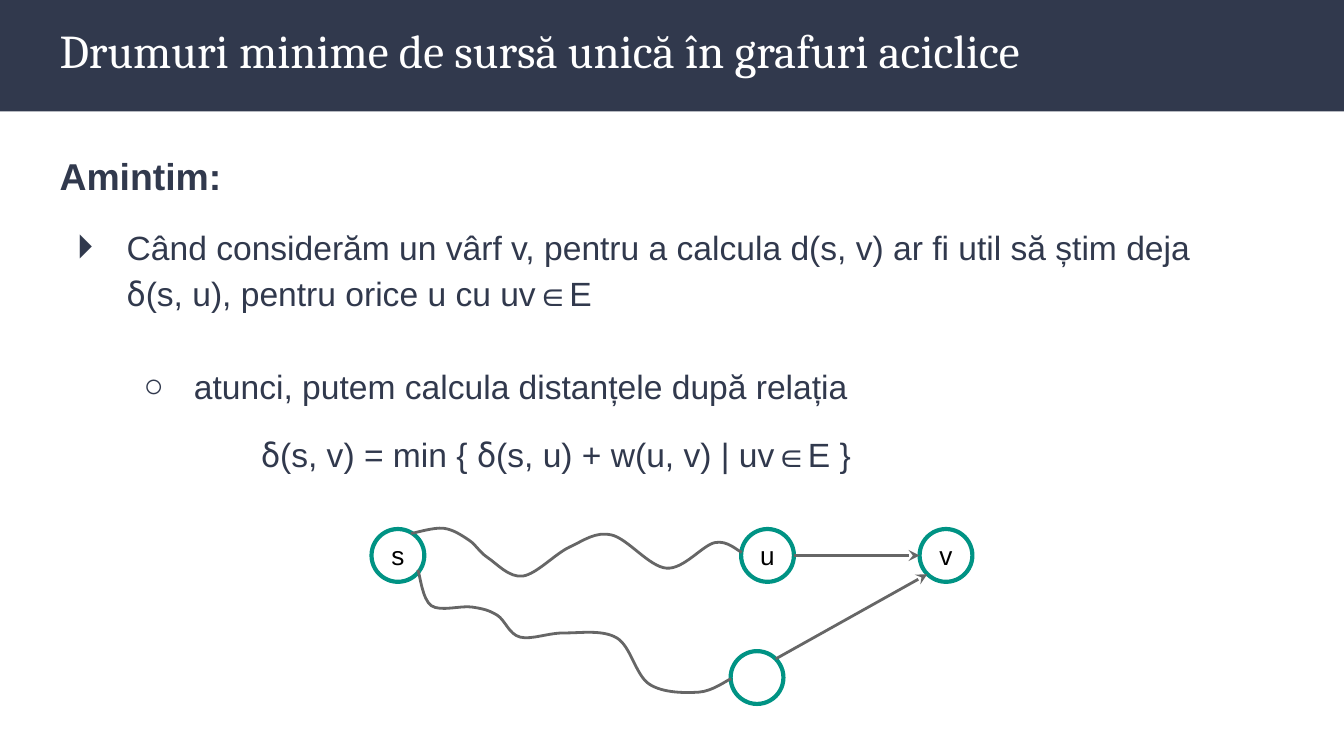
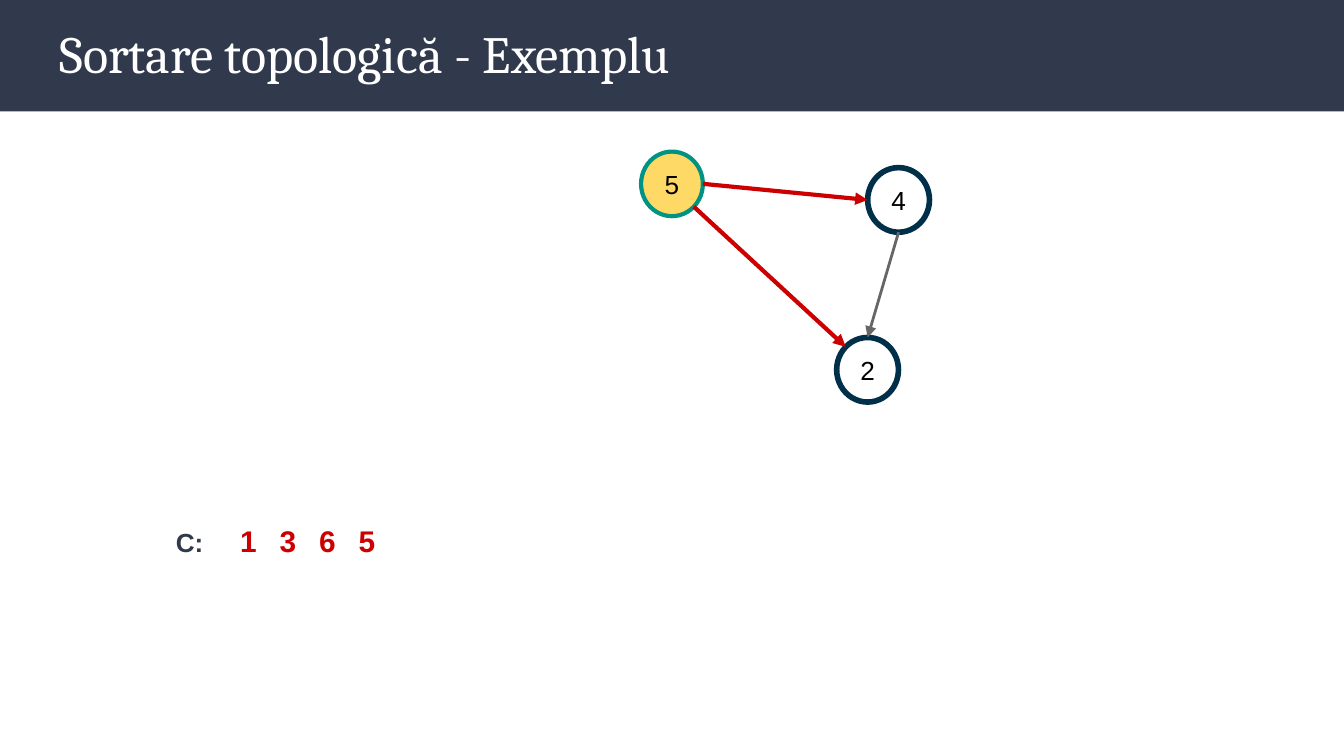
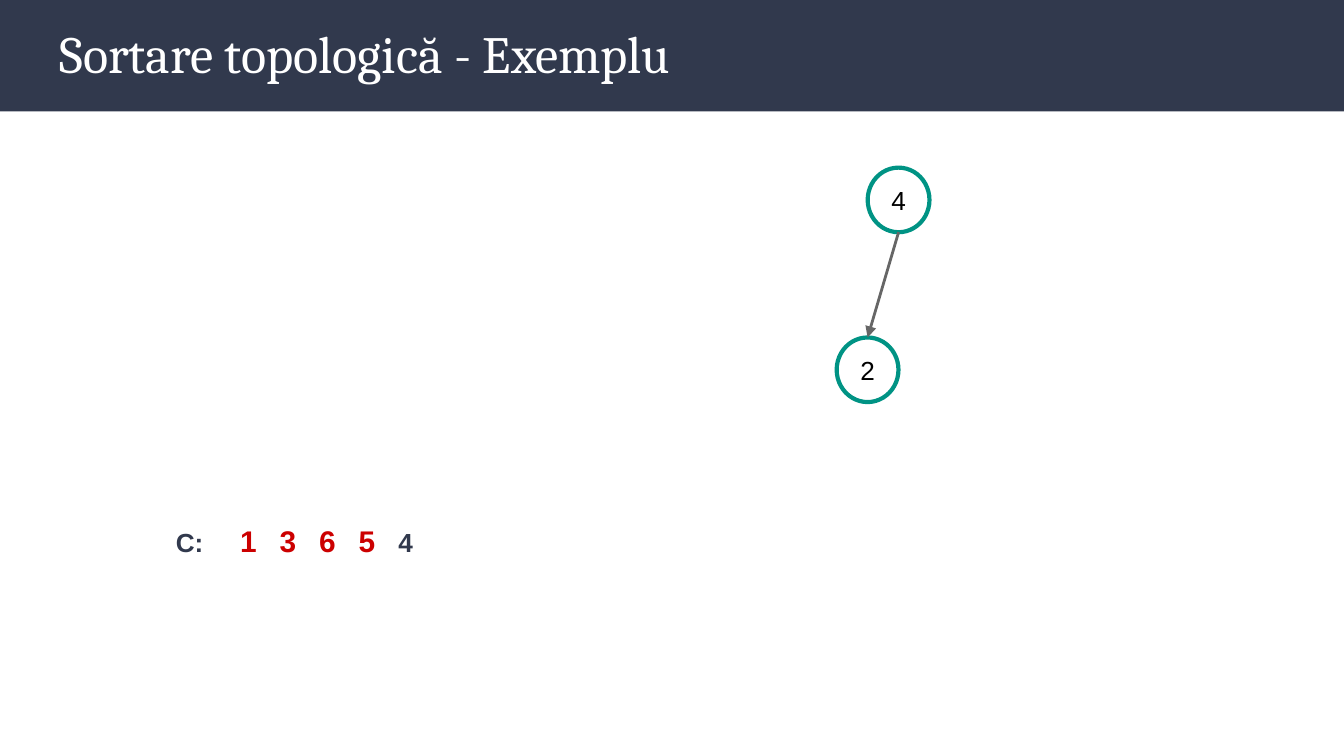
from dataclasses import dataclass

from lxml.etree import Element, SubElement
from pptx import Presentation
from pptx.dml.color import RGBColor as RGB
from pptx.enum.shapes import MSO_CONNECTOR, MSO_SHAPE
from pptx.enum.text import MSO_ANCHOR, PP_ALIGN
from pptx.oxml.ns import qn
from pptx.util import Pt


@dataclass(frozen=True)
class Theme:
    navy: RGB = RGB(0x31, 0x39, 0x4D)
    white: RGB = RGB(0xFF, 0xFF, 0xFF)
    black: RGB = RGB(0, 0, 0)
    teal: RGB = RGB(0x00, 0x93, 0x84)
    visited: RGB = RGB(0x00, 0x2F, 0x4A)
    current: RGB = RGB(0xFF, 0xD9, 0x66)
    red: RGB = RGB(0xCC, 0, 0)
    gray: RGB = RGB(0x66, 0x66, 0x66)
    heading_font: str = "Cambria"
    body_font: str = "Arial"
    greek_font: str = "Roboto"
    title_size: float = 28
    long_title_size: float = 25.2
    lead_size: float = 20
    body_size: float = 18
    done_size: float = 16
    label_size: float = 14


THEME = Theme()
SLIDE_W, SLIDE_H, BAND_H = 720, 405, 59.7
MARGIN, CONTENT_W = 24.8, 671
DIAGONAL = 0.5 ** 0.5
TOP, BOTTOM, LEFT, RIGHT = (0, -1), (0, 1), (-1, 0), (1, 0)
TOP_RIGHT, BOTTOM_LEFT = (DIAGONAL, -DIAGONAL), (-DIAGONAL, DIAGONAL)
TOP_LEFT, BOTTOM_RIGHT = (-DIAGONAL, -DIAGONAL), (DIAGONAL, DIAGONAL)


@dataclass(frozen=True)
class Vertex:
    label: str
    x: float
    y: float
    w: float = 33.1
    h: float = 34.6

    def site(self, direction):
        """Point of the outline that lies in the given direction."""
        return self.x + direction[0] * self.w / 2, self.y + direction[1] * self.h / 2


def add_run(para, text, size, color, font=THEME.body_font, bold=False):
    run = para.add_run()
    run.text = text
    run.font.size, run.font.name, run.font.bold = Pt(size), font, bold
    run.font.color.rgb = color


def add_math(para, text):
    """Add body text, with each δ in the Greek font."""
    for i, part in enumerate(text.split("δ")):
        if i:
            add_run(para, "δ", THEME.body_size, THEME.navy, THEME.greek_font)
        if part:
            add_run(para, part, THEME.body_size, THEME.navy)


def add_frame(slide, x, y, w, h):
    frame = slide.shapes.add_textbox(Pt(x), Pt(y), Pt(w), Pt(h)).text_frame
    frame.word_wrap = True
    set_insets(frame, 7.2)
    return frame


def set_insets(frame, inset):
    frame.margin_left = frame.margin_right = Pt(inset)
    frame.margin_top = frame.margin_bottom = Pt(inset)


def set_indent(para, left, first, bullet=None):
    props = para._p.get_or_add_pPr()
    props.set("marL", str(Pt(left)))
    props.set("indent", str(Pt(first)))
    if bullet:
        color = SubElement(props, qn("a:buClr"))
        SubElement(color, qn("a:srgbClr"), val=str(THEME.navy))
        SubElement(props, qn("a:buFont"), typeface=THEME.body_font)
        SubElement(props, qn("a:buChar"), char=bullet)


def add_titled_slide(prs, title, size=THEME.title_size):
    slide = prs.slides.add_slide(prs.slide_layouts[6])
    band = slide.shapes.add_shape(MSO_SHAPE.RECTANGLE, 0, 0, Pt(SLIDE_W), Pt(BAND_H))
    band.shadow.inherit = False
    band.fill.solid()
    band.fill.fore_color.rgb = THEME.navy
    band.line.fill.background()
    frame = add_frame(slide, MARGIN, 4.3, CONTENT_W, 49)
    add_run(frame.paragraphs[0], title, size, THEME.white, THEME.heading_font)
    return slide


def add_vertex(slide, vertex, outline=THEME.teal, weight=2.25, fill=None):
    left, top = vertex.x - vertex.w / 2, vertex.y - vertex.h / 2
    circle = slide.shapes.add_shape(
        MSO_SHAPE.OVAL, Pt(left), Pt(top), Pt(vertex.w), Pt(vertex.h))
    circle.shadow.inherit = False
    if fill is None:
        circle.fill.background()
    else:
        circle.fill.solid()
        circle.fill.fore_color.rgb = fill
    circle.line.color.rgb, circle.line.width = outline, Pt(weight)
    frame = circle.text_frame
    set_insets(frame, 1.4)
    frame.vertical_anchor = MSO_ANCHOR.MIDDLE
    if vertex.label:
        para = frame.paragraphs[0]
        para.alignment = PP_ALIGN.CENTER
        add_run(para, vertex.label, THEME.label_size, THEME.black)


def add_edge(slide, start, end, color=THEME.gray, weight=1.5, head="triangle"):
    edge = slide.shapes.add_connector(
        MSO_CONNECTOR.STRAIGHT, *(Pt(v) for v in (*start, *end)))
    edge.line.color.rgb, edge.line.width = color, Pt(weight)
    SubElement(edge.line._get_or_add_ln(), qn("a:tailEnd"), type=head)
    SubElement(edge._element.spPr, qn("a:effectLst"))


def round_corners(freeform):
    """Turn the straight segments into one smooth curve through the same knots."""
    outline = next(freeform._element.iter(qn("a:path")))
    knots = [(int(pt.get("x")), int(pt.get("y"))) for pt in outline.iter(qn("a:pt"))]
    padded = [knots[0], *knots, knots[-1]]
    segments = outline.findall(qn("a:lnTo"))
    for segment, a, b, c, d in zip(segments, padded, padded[1:], padded[2:], padded[3:]):
        leaving = [q + (r - p) / 6 for p, q, r in zip(a, b, c)]
        arriving = [q - (r - p) / 6 for p, q, r in zip(b, c, d)]
        curve = Element(qn("a:cubicBezTo"))
        for x, y in (leaving, arriving, c):
            SubElement(curve, qn("a:pt"), x=str(round(x)), y=str(round(y)))
        outline.replace(segment, curve)


def add_walk(slide, knots):
    start, *rest = [(Pt(x), Pt(y)) for x, y in knots]
    builder = slide.shapes.build_freeform(*start)
    builder.add_line_segments(rest, close=False)
    walk = builder.convert_to_shape()
    round_corners(walk)
    walk.shadow.inherit = False
    walk.fill.background()
    walk.line.color.rgb, walk.line.width = THEME.gray, Pt(1.5)


def add_queue(slide, done, waiting=""):
    """Write queue C: processed vertices in red, then the waiting ones."""
    para = add_frame(slide, 87.1, 272.9, 564.5, 34).paragraphs[0]
    add_run(para, "C:", THEME.label_size, THEME.navy, bold=True)
    tabs = SubElement(para._p.get_or_add_pPr(), qn("a:tabLst"))
    for i in range(len(done) + len(waiting)):
        SubElement(tabs, qn("a:tab"), pos=str(Pt(34.4 + 21.2 * i)), algn="l")
    for label in done:
        add_run(para, "\t" + label, THEME.done_size, THEME.red, bold=True)
    for label in waiting:
        add_run(para, "\t" + label, THEME.label_size, THEME.navy, bold=True)


def add_recall_text(slide):
    frame = add_frame(slide, MARGIN, 71.3, CONTENT_W, 296)
    lead = frame.paragraphs[0]
    add_run(lead, "Amintim:", THEME.lead_size, THEME.navy, bold=True)
    idea, relation, formula = (frame.add_paragraph() for _ in range(3))
    for para, before in ((lead, 0), (idea, 12), (relation, 24.8), (formula, 12)):
        para.line_spacing, para.space_before = 1.15, Pt(before)

    set_indent(idea, 36, -27, "⏵")
    add_math(idea, "Când considerăm un vârf v, pentru a calcula d(s, v) ar fi util să știm deja")
    idea.add_line_break()
    add_math(idea, "δ(s, u), pentru orice u cu uv∈E")
    relation.level = 1
    set_indent(relation, 72, -27, "○")
    add_math(relation, "atunci, putem calcula distanțele după relația")
    set_indent(formula, 72, 36)
    add_math(formula, "δ(s, v) = min { δ(s, u) + w(u, v) | uv∈E }")


def build_shortest_paths(prs):
    slide = add_titled_slide(
        prs, "Drumuri minime de sursă unică în grafuri aciclice", THEME.long_title_size)
    add_recall_text(slide)
    s, u, v, other = (
        Vertex(label, x, y, 28.3, 28.3)
        for label, x, y in (("s", 213.2, 297.6), ("u", 411.2, 297.6),
                            ("v", 506.8, 297.6), ("", 405.6, 363)))
    for vertex, fill in ((s, None), (u, THEME.white), (v, None), (other, THEME.white)):
        add_vertex(slide, vertex, fill=fill)
    add_walk(slide, [
        (220.3, 285.8), (237.6, 283), (251.3, 289.4), (261.4, 298.8), (280.1, 308.6),
        (305.3, 293), (327.6, 286.6), (357.1, 304.4), (383, 290.7), (397.4, 295.9)])
    add_walk(slide, [
        (223.9, 305.3), (231.1, 324.5), (252.7, 325.2), (266.4, 329.6), (278.6, 341.3),
        (302.4, 339.1), (330.5, 341.8), (347.8, 366.5), (374.4, 370.8), (391.7, 363.6)])
    add_edge(slide, u.site(RIGHT), v.site(LEFT), head="stealth")
    add_edge(slide, other.site(TOP_RIGHT), v.site(BOTTOM_LEFT), head="stealth")


def build_sorting_steps(prs):
    two, four = Vertex("2", 464.8, 198.1), Vertex("4", 481.4, 107.1)
    five = Vertex("5", 360, 98.5)
    title = "Sortare topologică - Exemplu"
    done = "1365"

    removing_five = add_titled_slide(prs, title)
    add_queue(removing_five, done)
    add_vertex(removing_five, two, THEME.visited, 3)
    add_vertex(removing_five, five, fill=THEME.current)
    add_vertex(removing_five, four, THEME.visited, 3)
    add_edge(removing_five, five.site(BOTTOM_RIGHT), two.site(TOP_LEFT), THEME.red, 2.25)
    add_edge(removing_five, five.site(RIGHT), four.site(LEFT), THEME.red, 2.25)

    four_waiting = add_titled_slide(prs, title)
    add_queue(four_waiting, done, waiting="4")
    for vertex in (two, four):
        add_vertex(four_waiting, vertex)

    for slide in (removing_five, four_waiting):
        add_edge(slide, four.site(BOTTOM), two.site(TOP))


def main():
    prs = Presentation()
    prs.slide_width, prs.slide_height = Pt(SLIDE_W), Pt(SLIDE_H)
    build_shortest_paths(prs)
    build_sorting_steps(prs)
    prs.save("out.pptx")


if __name__ == "__main__":
    main()
